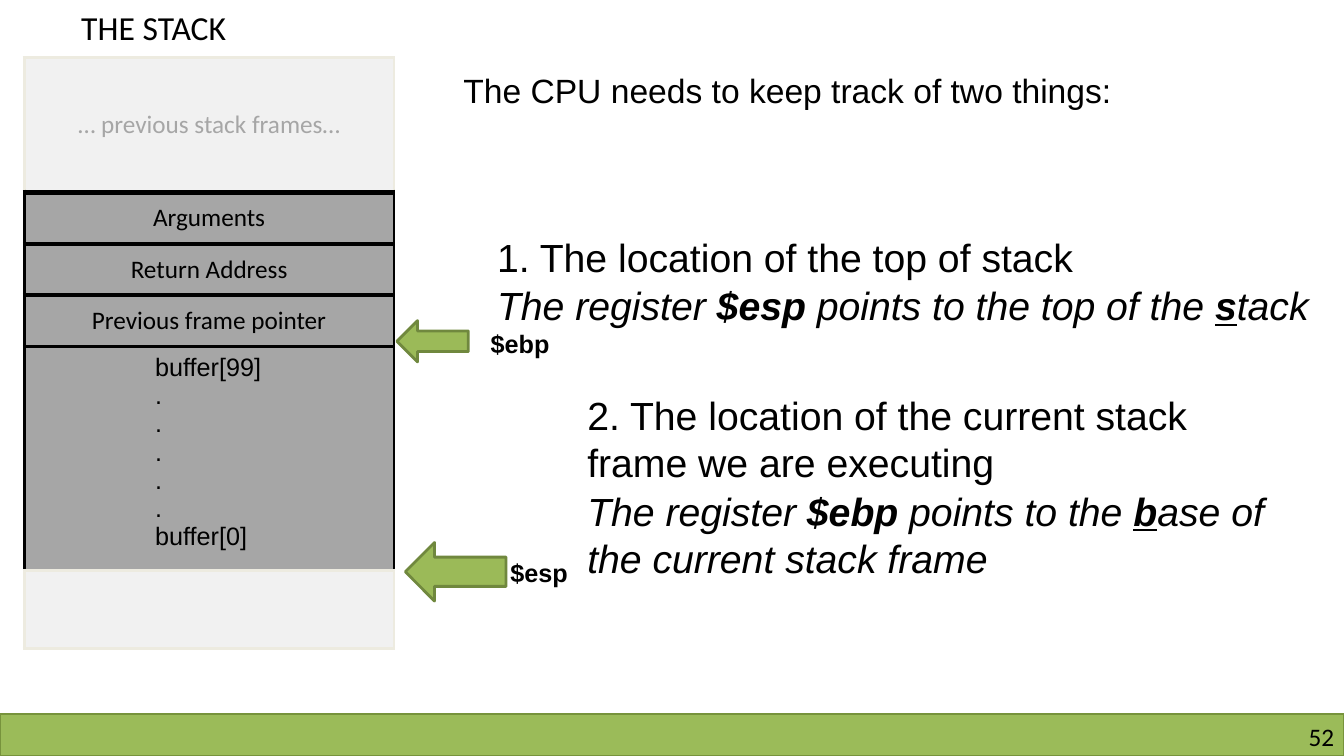
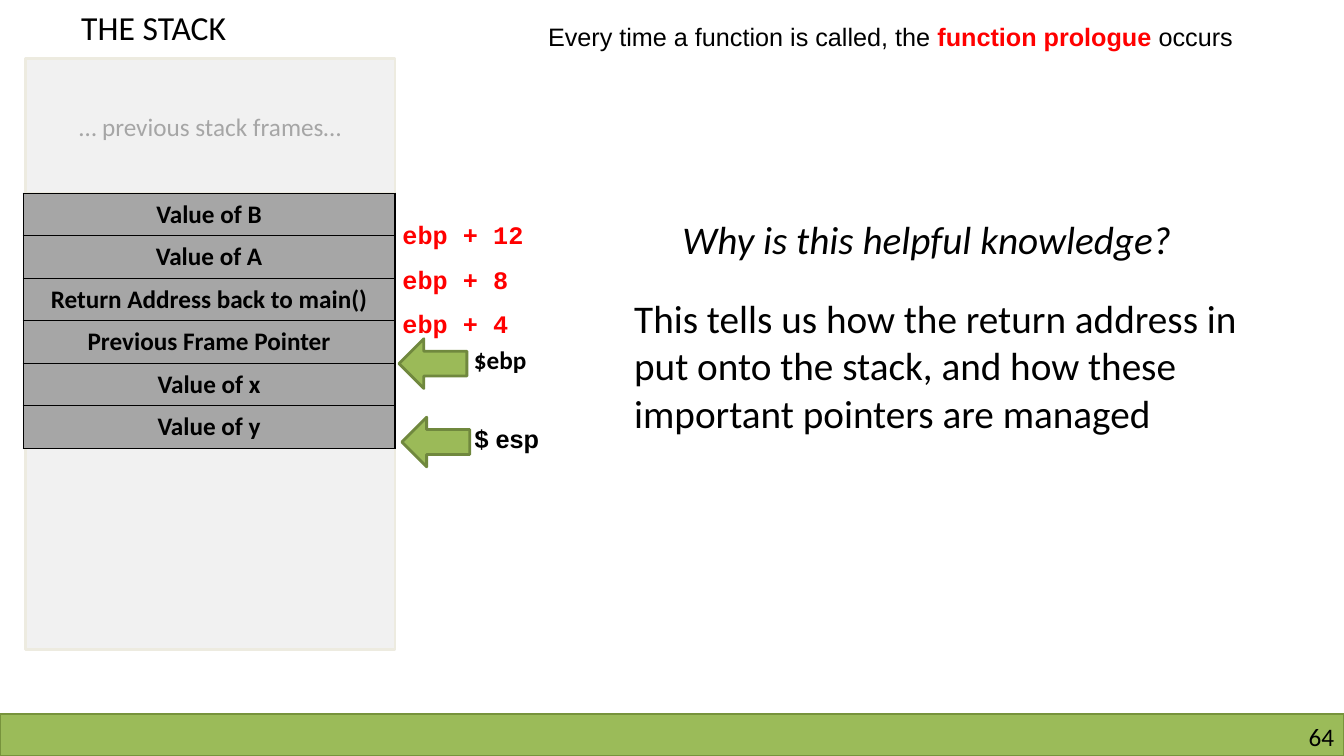
import pptx
import pptx.dml.color
import pptx.enum.shapes
import pptx.enum.text
import pptx.oxml
import pptx.oxml.ns
import pptx.util

Pt = pptx.util.Pt
SHAPE = pptx.enum.shapes.MSO_SHAPE
ALIGN = pptx.enum.text.PP_ALIGN
ANCHOR = pptx.enum.text.MSO_ANCHOR

SLIDE_WIDTH, SLIDE_HEIGHT = 960, 540
BAND_HEIGHT = 30
COLORS = {
    "text": "000000",
    "faded": "A6A6A6",
    "accent": "FF0000",
    "band": "9BBB59",
    "band_edge": "77933C",
    "arrow": "9BBA58",
    "arrow_edge": "70883E",
    "frame": "A6A6A6",
    "other": "F1F1F1",
    "other_edge": "EDEBE0",
    "rule": "000000",
}
HEADING = {"size": Pt(24), "name": "Calibri"}
STATEMENT = {"size": Pt(28), "name": "Arial"}
REMARK = {"size": Pt(28), "name": "Calibri"}
LABEL = {"size": Pt(18), "name": "Calibri"}
NOTE = {"size": Pt(18), "name": "Arial"}
OFFSET = {"size": Pt(18), "name": "Courier New", "bold": True, "color": "accent"}
STRONG = {"bold": True}
INITIAL = {"bold": True, "underline": True}
PREVIOUS = "… previous stack frames…"


def rgb(name):
    return pptx.dml.color.RGBColor.from_string(COLORS[name])


def points(box):
    return [Pt(length) for length in box]


def write(frame, paragraphs, style, align=ALIGN.LEFT, anchor=ANCHOR.TOP, gap=0):
    """Fill a frame; a paragraph is a string or a list of (text, changes) runs."""
    settings = {"word_wrap": True, "vertical_anchor": anchor,
                "margin_left": 0, "margin_right": 0,
                "margin_top": 0, "margin_bottom": 0}
    for key, value in settings.items():
        setattr(frame, key, value)
    for index, content in enumerate(paragraphs):
        paragraph = frame.add_paragraph() if index else frame.paragraphs[0]
        paragraph.alignment = align
        paragraph.space_before = Pt(gap if index else 0)
        runs = [(content, {})] if isinstance(content, str) else content
        for text, changes in runs:
            run = paragraph.add_run()
            run.text = text
            values = {"color": "text", **style, **changes}
            run.font.color.rgb = rgb(values.pop("color"))
            for key, value in values.items():
                setattr(run.font, key, value)


def add_text(slide, box, paragraphs, style, **layout):
    frame = slide.shapes.add_textbox(*points(box)).text_frame
    write(frame, paragraphs, style, **layout)


def add_block(slide, preset, box, fill, edge, weight):
    block = slide.shapes.add_shape(preset, *points(box))
    block.shadow.inherit = False
    block.fill.solid()
    block.fill.fore_color.rgb = rgb(fill)
    block.line.color.rgb = rgb(edge)
    block.line.width = Pt(weight)
    return block


def add_pointer(slide, box, label, label_at, style):
    """Draw a left arrow; label_at is the label's offset from the arrow's corner."""
    left, top, _, _ = box
    add_block(slide, SHAPE.LEFT_ARROW, box, "arrow", "arrow_edge", 2)
    add_text(slide, (left + label_at[0], top + label_at[1], 56, 24),
             [label], {**style, "bold": True})


def set_borders(cell, borders):
    """Set the left, right, top and bottom borders, each (colour, weight)."""
    properties = cell._tc.get_or_add_tcPr()
    namespace = pptx.oxml.ns.nsdecls("a")
    for index, (side, (color, weight)) in enumerate(zip("LRTB", borders)):
        properties.insert(index, pptx.oxml.parse_xml(
            f'<a:ln{side} {namespace} w="{Pt(weight)}"><a:solidFill>'
            f'<a:srgbClr val="{COLORS[color]}"/></a:solidFill></a:ln{side}>'))


def add_stack(slide, box, heights, fills, rules, sides):
    """Add a one-column table; rules run from its top edge to its bottom edge."""
    left, top, width = box
    table = slide.shapes.add_table(
        len(heights), 1, *points((left, top, width, sum(heights)))).table
    table.first_row = table.horz_banding = False
    for index, (height, fill) in enumerate(zip(heights, fills)):
        table.rows[index].height = Pt(height)
        cell = table.cell(index, 0)
        cell.fill.solid()
        cell.fill.fore_color.rgb = rgb(fill)
        set_borders(cell, (sides[index], sides[index], rules[index], rules[index + 1]))
        for margin in ("margin_left", "margin_right", "margin_top", "margin_bottom"):
            setattr(cell, margin, 0)
    return table


def write_cell(cell, text, style):
    cell.vertical_anchor = ANCHOR.MIDDLE
    write(cell.text_frame, [text], style, align=ALIGN.CENTER, anchor=ANCHOR.MIDDLE)


def add_stack_slide(deck, number):
    """Add a slide with the shared title, bottom band and number."""
    slide = deck.slides.add_slide(deck.slide_layouts[5])
    title = slide.shapes.title
    title.left, title.top, title.width, title.height = points((58, 5, 160, 35))
    title.text_frame.auto_size = pptx.enum.text.MSO_AUTO_SIZE.NONE
    write(title.text_frame, ["THE STACK"], HEADING)
    band_top = SLIDE_HEIGHT - BAND_HEIGHT
    add_block(slide, SHAPE.RECTANGLE, (0, band_top, SLIDE_WIDTH, BAND_HEIGHT),
              "band", "band_edge", 1)
    add_text(slide, (732, band_top + 5, 221, 22), [str(number)], LABEL,
             align=ALIGN.RIGHT)
    return slide


def add_frame_with_buffer(slide, box):
    edge, thin, thick = ("other_edge", 2.25), ("rule", 3), ("rule", 4.5)
    side = ("rule", 2.25)
    table = add_stack(
        slide, box,
        heights=[96.5, 36.7, 36.7, 36.7, 160, 55.5],
        fills=["other"] + ["frame"] * 4 + ["other"],
        rules=[edge, thick, thin, thin, thin, ("other_edge", 3), edge],
        sides=[edge] + [side] * 4 + [edge])
    write_cell(table.cell(0, 0), PREVIOUS, {**LABEL, "color": "faded"})
    for row, name in enumerate(
            ("Arguments", "Return Address", "Previous frame pointer"), start=1):
        write_cell(table.cell(row, 0), name, LABEL)
    buffer = table.cell(4, 0)
    write(buffer.text_frame, ["buffer[99]", *"." * 5, "buffer[0]"], NOTE)
    buffer.margin_left, buffer.margin_top = Pt(93.5), Pt(5)


def add_frame_with_values(slide, box):
    left, top, width = box
    row_height, previous_height = 30.4, 96
    previous = add_block(slide, SHAPE.RECTANGLE, (left, top, width, previous_height),
                         "other", "other_edge", 2)
    write(previous.text_frame, [PREVIOUS], {**LABEL, "color": "faded"},
          align=ALIGN.CENTER, anchor=ANCHOR.MIDDLE)
    frame_top = top + previous_height
    add_block(slide, SHAPE.RECTANGLE, (left, frame_top, width, 326),
              "other", "other_edge", 2)
    names = ["Value of B", "Value of A", "Return Address back to main()",
             "Previous Frame Pointer", "Value of x", "Value of y"]
    rule = ("rule", 1)
    table = add_stack(slide, (left - 1.5, frame_top, width + 1.5),
                      heights=[row_height] * len(names),
                      fills=["frame"] * len(names),
                      rules=[rule] * (len(names) + 1),
                      sides=[rule] * len(names))
    for row, name in enumerate(names):
        write_cell(table.cell(row, 0), name, {**LABEL, "bold": True})


def add_registers_slide(deck):
    slide = add_stack_slide(deck, 52)
    add_frame_with_buffer(slide, (17.3, 41, 264.2))
    add_text(slide, (331, 50, 480, 30),
             ["The CPU needs to keep track of two things:"], HEADING | {"name": "Arial"})
    add_text(slide, (355, 166.5, 600, 70), [
        "1. The location of the top of stack",
        [("The register ", {}), ("$esp ", STRONG), ("points to the top of the ", {}),
         ("s", INITIAL), ("tack", {})],
    ], STATEMENT, gap=1)
    add_text(slide, (419.5, 279.5, 496, 140), [
        "2. The location of the current stack frame we are executing",
        [("The register ", {}), ("$ebp ", STRONG), ("points to the ", {}),
         ("b", INITIAL), ("ase of the current stack frame", {})],
    ], STATEMENT, gap=1)
    for box in slide.shapes:
        if box.has_text_frame and len(box.text_frame.paragraphs) == 2:
            for run in box.text_frame.paragraphs[1].runs:
                run.font.italic = True
    add_pointer(slide, (289.5, 387.5, 72, 41.8), "$esp", (75, 10.5), NOTE)
    add_pointer(slide, (283.5, 229, 51, 29.5), "$ebp", (67, 5.5), NOTE)


def add_prologue_slide(deck):
    slide = add_stack_slide(deck, 64)
    add_frame_with_values(slide, (18, 42, 264.2))
    add_text(slide, (391.5, 15.5, 510, 22), [
        [("Every time a function is called, the ", {}),
         ("function prologue ", {"bold": True, "color": "accent"}),
         ("occurs", {})],
    ], NOTE)
    add_pointer(slide, (285, 242, 48.5, 35.5), "$ebp", (53.5, 4), LABEL)
    add_pointer(slide, (287, 298, 48.5, 35.5), "$ esp", (52, 4), NOTE)
    for index, distance in enumerate((12, 8, 4)):
        add_text(slide, (287.5, 157 + 31.5 * index, 100, 22),
                 [f"ebp + {distance}"], OFFSET)
    add_text(slide, (487.5, 153.5, 400, 36), ["Why is this helpful knowledge?"],
             {**REMARK, "italic": True})
    add_text(slide, (453, 210.5, 455, 105),
             ["This tells us how the return address in put onto the stack, "
              "and how these important pointers are managed"], REMARK)


def main():
    deck = pptx.Presentation()
    deck.slide_width, deck.slide_height = Pt(SLIDE_WIDTH), Pt(SLIDE_HEIGHT)
    add_registers_slide(deck)
    add_prologue_slide(deck)
    deck.save("out.pptx")


if __name__ == "__main__":
    main()
